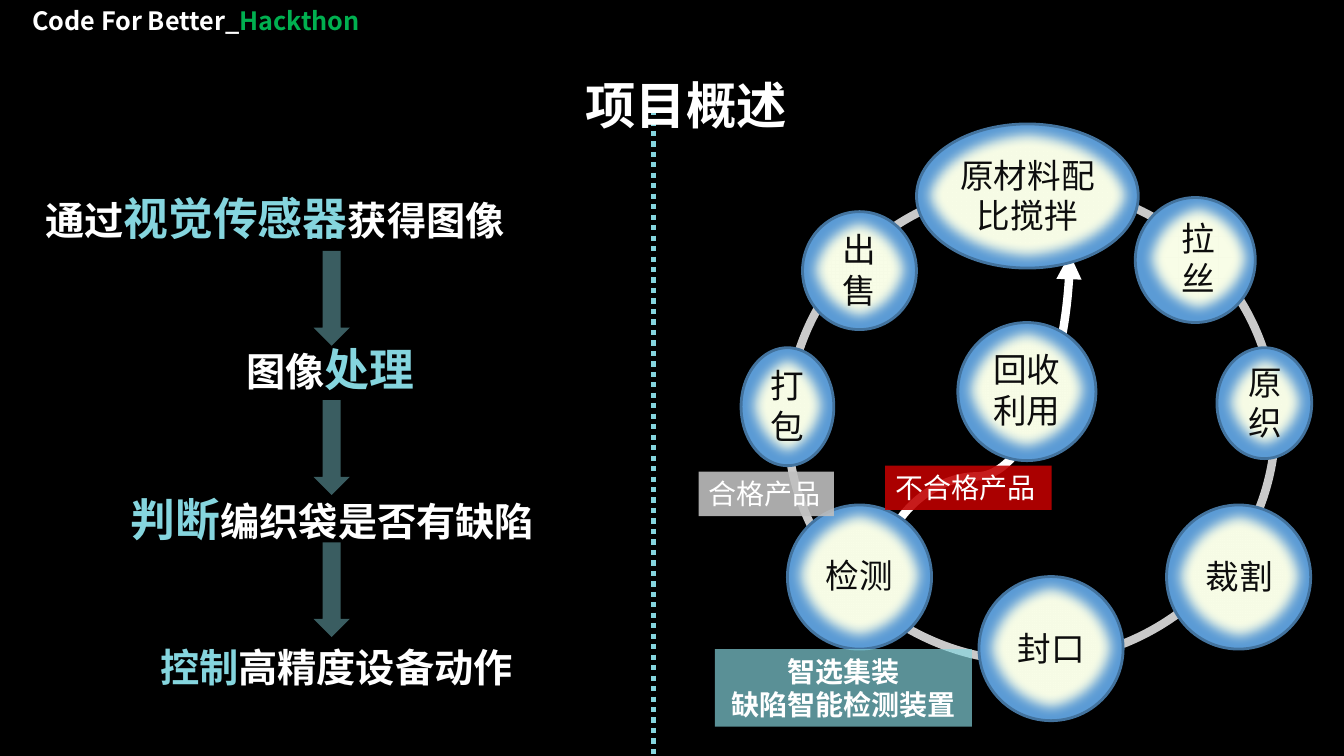
from dataclasses import dataclass

from lxml import etree
from pptx import Presentation
from pptx.dml.color import RGBColor
from pptx.enum.dml import MSO_LINE
from pptx.enum.shapes import MSO_CONNECTOR, MSO_SHAPE
from pptx.enum.text import MSO_ANCHOR, MSO_AUTO_SIZE, PP_ALIGN
from pptx.oxml.ns import qn
from pptx.util import Inches, Pt

OVAL, RECT, DOWN = MSO_SHAPE.OVAL, MSO_SHAPE.RECTANGLE, MSO_SHAPE.DOWN_ARROW
STRAIGHT, CURVE = MSO_CONNECTOR.STRAIGHT, MSO_CONNECTOR.CURVE
LEFT, CENTER, JUSTIFY = PP_ALIGN.LEFT, PP_ALIGN.CENTER, PP_ALIGN.JUSTIFY
TOP, MIDDLE = MSO_ANCHOR.TOP, MSO_ANCHOR.MIDDLE
FIT, NO_FIT = MSO_AUTO_SIZE.SHAPE_TO_FIT_TEXT, MSO_AUTO_SIZE.NONE
DOTS = MSO_LINE.ROUND_DOT

FONT = "Noto Sans CJK SC"
COLORS = {
    "black": "000000", "white": "FFFFFF", "green": "00B050", "aqua": "85D5DE",
    "blue": "5B9BD5", "rim": "43739E", "cream": "F8FDE7", "ink": "0D0D0D",
    "red": "C00000", "gray": "BFBFBF",
}

Box = tuple[float, float, float, float]


@dataclass
class Run:
    text: str
    size: float
    color: str = "white"
    bold: bool = True


@dataclass
class TextBox:
    at: Box
    runs: list[Run]
    align: PP_ALIGN = CENTER


@dataclass
class Node:
    at: Box
    lines: list[str]
    dx: float = 0
    dy: float = 0.01


@dataclass
class Label:
    at: Box
    lines: list[str]
    fill: str
    alpha: int
    bold: bool = False
    align: PP_ALIGN = JUSTIFY


HEADER = TextBox((0, 0, 3.89, 0.4),
                 [Run("Code For Better_", 18), Run("Hackthon", 18, "green")])
TITLE = TextBox((5.19, 0.69, 3.23, 0.71), [Run("项目概述", 36)])
STEPS = [
    TextBox((0.35, 1.84, 5.52, 0.64),
            [Run("通过", 28), Run("视觉传感器", 32, "aqua"), Run("获得图像", 28)], LEFT),
    TextBox((1.9, 3.34, 2.76, 0.64), [Run("图像", 28), Run("处理", 32, "aqua")]),
    TextBox((1.2, 4.83, 4.68, 0.64),
            [Run("判断", 32, "aqua"), Run("编织袋是否有缺陷", 28)], LEFT),
    TextBox((1.49, 6.33, 4.1, 0.57),
            [Run("控制", 28, "aqua"), Run("高精度设备动作", 28)], LEFT),
]
ARROW_TOPS = [2.49, 3.97, 5.38]
NODES = [
    Node((11.29, 1.94, 1.19, 1.24), ["拉丝"], -0.03, 0.02),
    Node((12.08, 3.44, 0.94, 1.1), ["原织"], -0.01),
    Node((11.58, 5, 1.43, 1.43), ["裁割"], -0.01),
    Node((9.71, 5.71, 1.43, 1.43), ["封口"]),
    Node((7.81, 4.99, 1.43, 1.43), ["检测"], 0, 0.02),
    Node((7.35, 3.44, 0.92, 1.17), ["打包"]),
    Node((7.96, 2.09, 1.13, 1.17), ["出售"]),
    Node((9.5, 3.18, 1.37, 1.37), ["回收", "利用"], 0, 0.02),
    Node((9.09, 1.22, 2.2, 1.43), ["原材料配比搅拌"]),
]
LABELS = [
    Label((7.09, 6.44, 2.55, 0.77), ["智选集装", "缺陷智能检测装置"], "aqua", 68, True, CENTER),
    Label((8.78, 4.62, 1.65, 0.44), ["不合格产品"], "red", 89),
    Label((6.93, 4.68, 1.34, 0.44), ["合格产品"], "gray", 89),
]


def rgb(name: str) -> RGBColor:
    """Look up a named colour."""
    return RGBColor.from_string(COLORS[name])


def set_alpha(sp, percent: int) -> None:
    """Make the colours of a shape partly transparent."""
    for clr in list(sp._element.spPr.iter(qn("a:srgbClr"))):
        etree.SubElement(clr, qn("a:alpha"), val=str(percent * 1000))


def write(sp, paragraphs: list[list[Run]], align: PP_ALIGN,
          anchor: MSO_ANCHOR, auto_size: MSO_AUTO_SIZE) -> None:
    """Fill a shape with formatted paragraphs."""
    tf = sp.text_frame
    frame = {"word_wrap": True, "vertical_anchor": anchor, "auto_size": auto_size}
    for key, value in frame.items():
        setattr(tf, key, value)
    for i, runs in enumerate(paragraphs):
        p = tf.add_paragraph() if i else tf.paragraphs[0]
        p.alignment = align
        for run in runs:
            r = p.add_run()
            r.text = run.text
            r.font.color.rgb = rgb(run.color)
            style = {"name": FONT, "size": Pt(run.size), "bold": run.bold}
            for key, value in style.items():
                setattr(r.font, key, value)
            etree.SubElement(r.font._element, qn("a:ea"), typeface=FONT)


def add_text(s, box: TextBox) -> None:
    """Add a text box of one paragraph."""
    sp = s.shapes.add_textbox(*map(Inches, box.at))
    write(sp, [box.runs], box.align, TOP, FIT)


def add_shape(s, kind: MSO_SHAPE, at: Box, fill: str = "", line: str = "",
              width: float = 0, alpha: int = 100):
    """Add a preset shape without shadow."""
    sp = s.shapes.add_shape(kind, *map(Inches, at))
    for part, color in ((sp.fill, fill), (sp.line.fill, line)):
        if color:
            part.solid()
            part.fore_color.rgb = rgb(color)
        else:
            part.background()
    if line:
        sp.line.width = Pt(width)
    if alpha < 100:
        set_alpha(sp, alpha)
    sp.shadow.inherit = False
    return sp


def add_line(s, kind: MSO_CONNECTOR, ends: Box, color: str, width: float):
    """Add a connector without shadow."""
    sp = s.shapes.add_connector(kind, *map(Inches, ends))
    sp.line.color.rgb = rgb(color)
    sp.line.width = Pt(width)
    etree.SubElement(sp._element.spPr, qn("a:effectLst"))
    return sp


def add_recycle_arrow(s) -> None:
    """Draw the curve from inspection back to the raw materials."""
    sp = add_line(s, CURVE, (8.15, 3.14, 11.23, 4.98), "white", 6)
    pr = sp._element.spPr
    pr.find(qn("a:xfrm")).set("rot", str(270 * 60000))
    geom = pr.find(qn("a:prstGeom"))
    guides = geom.find(qn("a:avLst"))
    etree.SubElement(guides, qn("a:gd"), name="adj1", fmla="val 28400")
    etree.SubElement(pr.find(qn("a:ln")), qn("a:tailEnd"), type="triangle")


def add_node(s, node: Node) -> None:
    """Draw a soft cream ellipse over a blue one."""
    x, y, w, h = node.at
    add_shape(s, OVAL, (x + node.dx, y + node.dy, w, h), "blue", "rim", 2)
    sp = add_shape(s, OVAL, node.at, "cream")
    effects = sp._element.spPr.find(qn("a:effectLst"))
    etree.SubElement(effects, qn("a:softEdge"), rad="112500")
    write(sp, [[Run(t, 24, "ink", False)] for t in node.lines], CENTER, MIDDLE, NO_FIT)


def add_label(s, label: Label) -> None:
    """Draw a translucent caption."""
    sp = add_shape(s, RECT, label.at, label.fill, alpha=label.alpha)
    write(sp, [[Run(t, 20, "white", label.bold)] for t in label.lines],
          label.align, TOP, FIT)


def main() -> None:
    """Build and save the slide."""
    prs = Presentation()
    prs.slide_width, prs.slide_height = Inches(13.33), Inches(7.5)
    s = prs.slides.add_slide(prs.slide_layouts[6])
    s.background.fill.solid()
    s.background.fill.fore_color.rgb = rgb("black")
    add_text(s, HEADER)
    add_recycle_arrow(s)
    add_shape(s, OVAL, (7.81, 1.84, 4.84, 4.72), line="white", width=6, alpha=79)
    for step in STEPS:
        add_text(s, step)
    for top in ARROW_TOPS:
        add_shape(s, DOWN, (3.11, top, 0.36, 0.94), "aqua", alpha=44)
    for node in NODES:
        add_node(s, node)
    for label in LABELS:
        add_label(s, label)
    divider = add_line(s, STRAIGHT, (6.48, 1.09, 6.48, 7.49), "aqua", 3.75)
    divider.line.dash_style = DOTS
    add_text(s, TITLE)
    prs.save("out.pptx")


if __name__ == "__main__":
    main()
